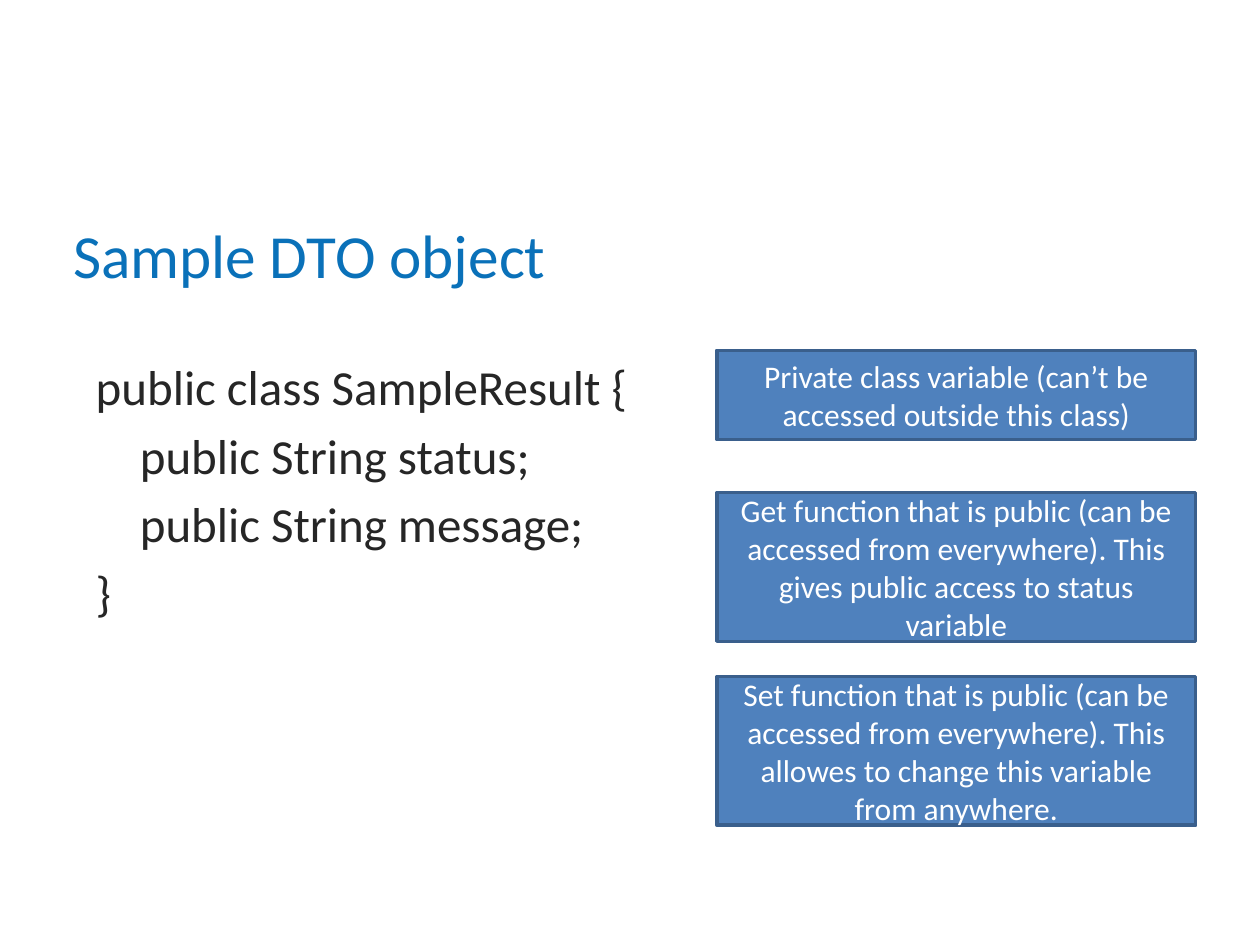
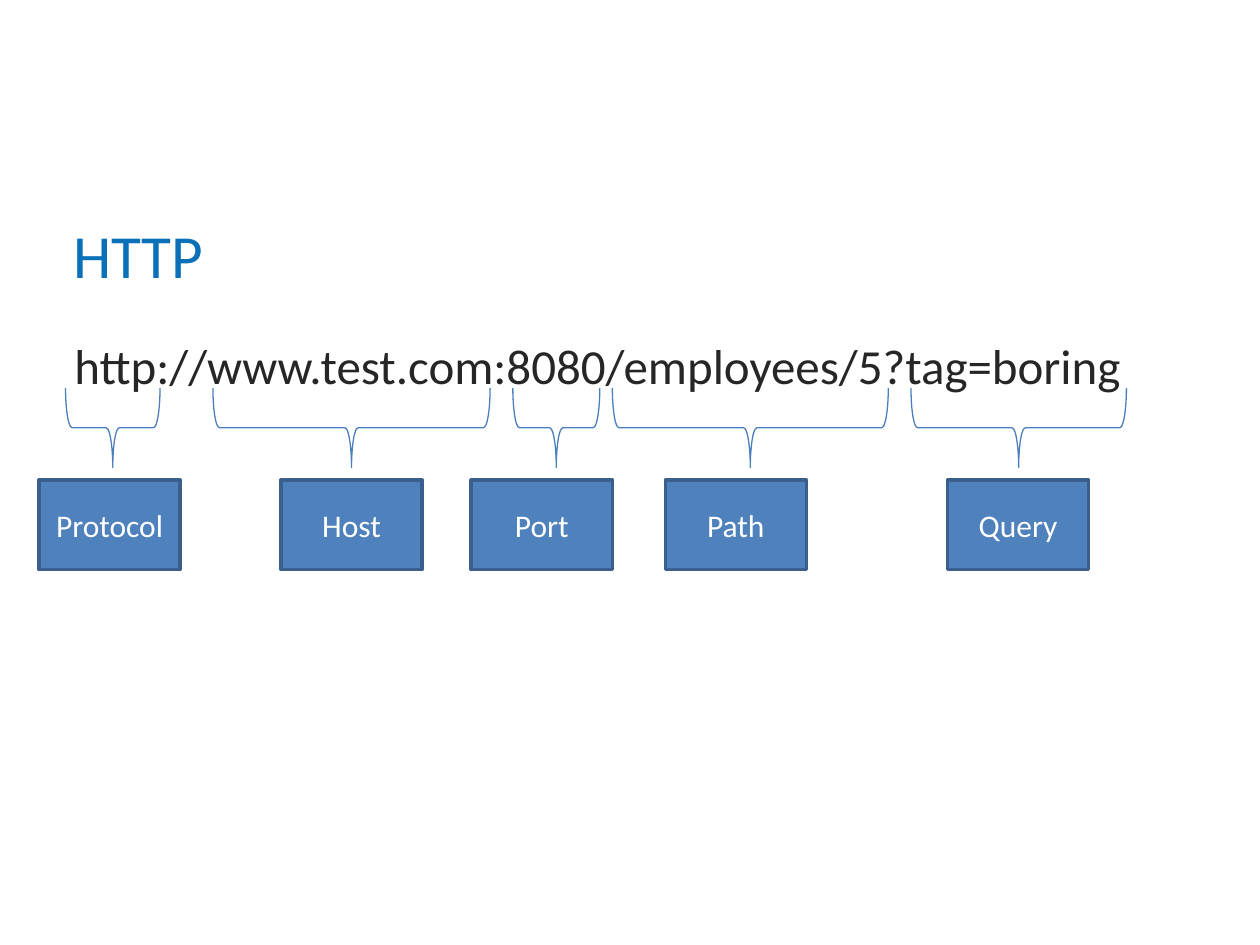
import pptx
import pptx.util
import pptx.dml.color
import pptx.enum.shapes
import pptx.enum.text

Inches = pptx.util.Inches
Pt = pptx.util.Pt
Shape = pptx.enum.shapes.MSO_SHAPE
Align = pptx.enum.text.PP_ALIGN
Anchor = pptx.enum.text.MSO_ANCHOR

COLORS = {
    "title": "0A71B9",
    "body": "262626",
    "fill": "4F81BD",
    "edge": "3A5F8C",
    "brace": "4B7EBC",
    "label": "FFFFFF",
}
FONT = "Calibri"
TITLE = (0.48, 1.11, 9, 1.25)


def color(name):
    return pptx.dml.color.RGBColor.from_string(COLORS[name])


def place(shape, box):
    shape.left, shape.top, shape.width, shape.height = map(Inches, box)


def write(shape, text, size=18, ink="label", align=Align.CENTER,
          anchor=Anchor.MIDDLE, before=0, indents=None):
    frame = shape.text_frame
    frame.text = text
    frame.word_wrap = True
    frame.auto_size = pptx.enum.text.MSO_AUTO_SIZE.NONE
    frame.vertical_anchor = anchor
    for row, para in enumerate(frame.paragraphs):
        para.alignment = align
        para.space_before = Pt(before)
        para.font.name = FONT
        para.font.size = Pt(size)
        para.font.color.rgb = color(ink)
        if indents:
            props = para._p.get_or_add_pPr()
            props.set("marL", str(Inches(indents[row])))
            props.set("indent", "0")
            mark = pptx.oxml.parse_xml(
                '<a:buNone xmlns:a="http://schemas.openxmlformats.org/drawingml/2006/main"/>')
            props.insert_element_before(mark, "a:tabLst", "a:defRPr", "a:extLst")


def start(deck, title, lines, indents, box):
    slide = deck.slides.add_slide(deck.slide_layouts[1])
    head, body = slide.placeholders
    place(head, TITLE)
    write(head, title, size=35, ink="title", align=Align.LEFT, anchor=Anchor.BOTTOM)
    place(body, box)
    write(body, "\n".join(lines), size=28, ink="body", align=Align.LEFT,
          anchor=Anchor.TOP, before=5.6, indents=indents)
    return slide


def label(slide, text, box):
    shape = slide.shapes.add_shape(Shape.RECTANGLE, *map(Inches, box))
    shape.shadow.inherit = False
    shape.fill.solid()
    shape.fill.fore_color.rgb = color("fill")
    shape.line.color.rgb = color("edge")
    shape.line.width = Pt(2)
    write(shape, text)


def brace(slide, box):
    left, top, wide, high = box
    shape = slide.shapes.add_shape(
        Shape.LEFT_BRACE,
        Inches(left + (wide - high) / 2), Inches(top + (high - wide) / 2),
        Inches(high), Inches(wide))
    shape.rotation = 270
    shape.shadow.inherit = False
    shape.fill.background()
    shape.line.color.rgb = color("brace")
    shape.line.width = Pt(0.75)


def notes(slide, box, items):
    left, top, wide, _ = box
    for text, drop, high in items:
        label(slide, text, (left, top + drop, wide, high))


def parts(slide, box, items):
    left, top, _, high = box
    for text, begin, span, shift in items:
        brace(slide, (left + begin, top, span, 0.63))
        label(slide, text, (left + shift, top + high - 0.71, 1.12, 0.71))


deck = pptx.Presentation()
deck.slide_width, deck.slide_height = Inches(10), Inches(7.5)

sample = start(
    deck, "Sample DTO object",
    ["public class SampleResult {", "public String status;",
     "public String message;", "}"],
    [0, 0.35, 0.35, 0], (0.66, 2.78, 9.01, 4.37))
notes(sample, (5.69, 2.78, 3.8, 3.77), [
    ("Private class variable (can’t be accessed outside this class)", 0, 0.71),
    ("Get function that is public (can be accessed from everywhere). "
     "This gives public access to status variable", 1.13, 1.18),
    ("Set function that is public (can be accessed from everywhere). "
     "This allowes to change this variable from anywhere.", 2.59, 1.18),
])

http = start(deck, "HTTP", ["http://www.test.com:8080/employees/5?tag=boring"],
             [0], (0.49, 2.61, 9.01, 4.37))
parts(http, (0.31, 3.08, 8.63, 1.44), [
    ("Protocol", 0.21, 0.75, 0),
    ("Host", 1.38, 2.2, 1.92),
    ("Port", 3.76, 0.69, 3.43),
    ("Path", 4.55, 2.19, 4.97),
    ("Query", 6.92, 1.71, 7.21),
])

deck.save("out.pptx")
